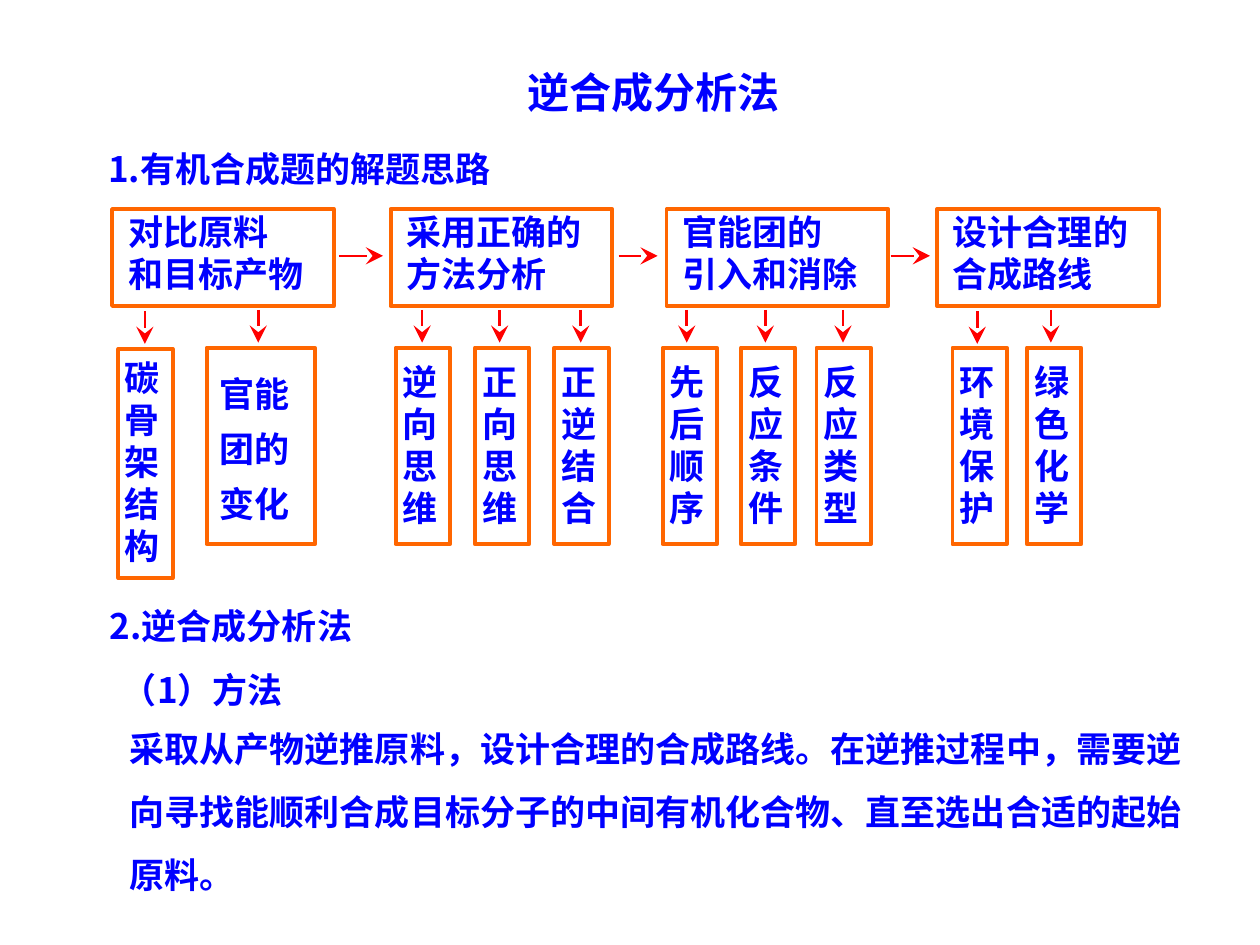
from lxml import etree
from pptx import Presentation
from pptx.dml import color
from pptx.enum import shapes, text
from pptx.oxml import ns
from pptx.util import Pt


def rgb(hex_value):
    return color.RGBColor.from_string(hex_value)


class Board:
    """Style of the slide and the slide being filled; lengths in points."""
    BLUE, ORANGE, RED = "0000FF", "FF6600", "FF0000"
    FONT = "Noto Sans CJK SC"

    def __init__(self, deck):
        self.slide = deck.slides.add_slide(deck.slide_layouts[6])

    def label(self, left, top, width, height, lines, size=20, parent=None, **layout):
        owner = parent or self.slide
        box = owner.shapes.add_textbox(Pt(left), Pt(top), Pt(width), Pt(height))
        frame = box.text_frame
        frame.word_wrap = True
        frame.auto_size = text.MSO_AUTO_SIZE.SHAPE_TO_FIT_TEXT
        frame.text = "\n".join(lines)
        for paragraph in frame.paragraphs:
            for key, value in layout.items():
                setattr(paragraph, key, value)
            font = paragraph.runs[0].font
            font_format = {"name": self.FONT, "size": Pt(size), "bold": True}
            for key, value in font_format.items():
                setattr(font, key, value)
            font.color.rgb = rgb(self.BLUE)
            # East Asian typeface
            east_asian = etree.SubElement(font._element, ns.qn("a:ea"))
            east_asian.set("typeface", self.FONT)

    def framed(self, frame_area, label_area, lines, **layout):
        group = self.slide.shapes.add_group_shape()
        frame = group.shapes.add_shape(
            shapes.MSO_SHAPE.RECTANGLE, *(Pt(v) for v in frame_area))
        frame.shadow.inherit = False
        frame.fill.background()
        frame.line.color.rgb = rgb(self.ORANGE)
        frame.line.width = Pt(2.25)
        self.label(*label_area, lines, parent=group, **layout)

    def arrow(self, x1, y1, x2, y2):
        line = self.slide.shapes.add_connector(
            shapes.MSO_CONNECTOR.STRAIGHT, Pt(x1), Pt(y1), Pt(x2), Pt(y2))
        line.line.color.rgb = rgb(self.RED)
        line.line.width = Pt(1.5)
        head = etree.SubElement(line.line._get_or_add_ln(), ns.qn("a:tailEnd"))
        for key, value in {"type": "stealth", "w": "lg", "len": "lg"}.items():
            head.set(key, value)
        etree.SubElement(line._element.spPr, ns.qn("a:effectLst"))


def main():
    deck = Presentation()
    deck.slide_width, deck.slide_height = Pt(720), Pt(540)
    board = Board(deck)

    # Title and section headings
    board.label(294.5, 34.6, 306.7, 36, ["逆合成分析法"], size=24)
    board.label(54.7, 80.6, 306.7, 31.7, ["1.有机合成题的解题思路"])
    board.label(55.6, 342, 255.6, 31.7, ["2.逆合成分析法"])

    # Four steps of the solution
    steps = [
        (64.1, ["对比原料", "和目标产物"]),
        (223.2, ["采用正确的", "方法分析"]),
        (380.9, ["官能团的", "引入和消除"]),
        (535.4, ["设计合理的", "合成路线"]),
    ]
    for left, lines in steps:
        board.framed((left, 119.5, 126.7, 55.4), (left + 2, 116.6, 135.4, 55.4), lines)

    # Aspects of the first step
    board.framed((67.7, 199.4, 31, 131), (64.1, 200.2, 59, 127.4), "碳骨架结构")
    board.framed((118.1, 198.7, 61.9, 112.3), (118.1, 202.3, 59, 172.8),
                 ["官能", "团的", "变化"], line_spacing=1.3)

    # Aspects of the other steps, one character to a line
    aspects = [
        (226.1, "逆向思维"), (271.4, "正向思维"), (316.8, "正逆结合"),
        (378.7, "先后顺序"), (423.4, "反应条件"), (466.6, "反应类型"),
        (544.3, "环境保护"), (586.8, "绿色化学"),
    ]
    for left, aspect in aspects:
        board.framed((left, 198.7, 31, 112.3), (left - 3, 202.3, 59, 175.7), aspect)

    # Arrows from step to step
    for start, end in [(193.7, 218.9), (353.5, 375.8), (509, 531.4)]:
        board.arrow(start, 146.2, end, 146.2)

    # Arrows from steps down to aspects
    for x in (82.8, 147.6, 241.2, 285.5, 331.9, 392.4, 437.4, 481.7, 558.4, 600.5):
        top = 177.8 if x in (82.8, 558.4) else 177.1
        board.arrow(x, top, x, top + 18.7)

    # Method
    board.label(62.6, 378.7, 255.6, 31.7, ["（1）方法"])
    board.label(67, 400.3, 619.2, 115.2, [
        "采取从产物逆推原料，设计合理的合成路线。在逆推过程中，需要逆向寻找能顺利合成"
        "目标分子的中间有机化合物、直至选出合适的起始原料。"], line_spacing=1.5)

    deck.save("out.pptx")


if __name__ == "__main__":
    main()
